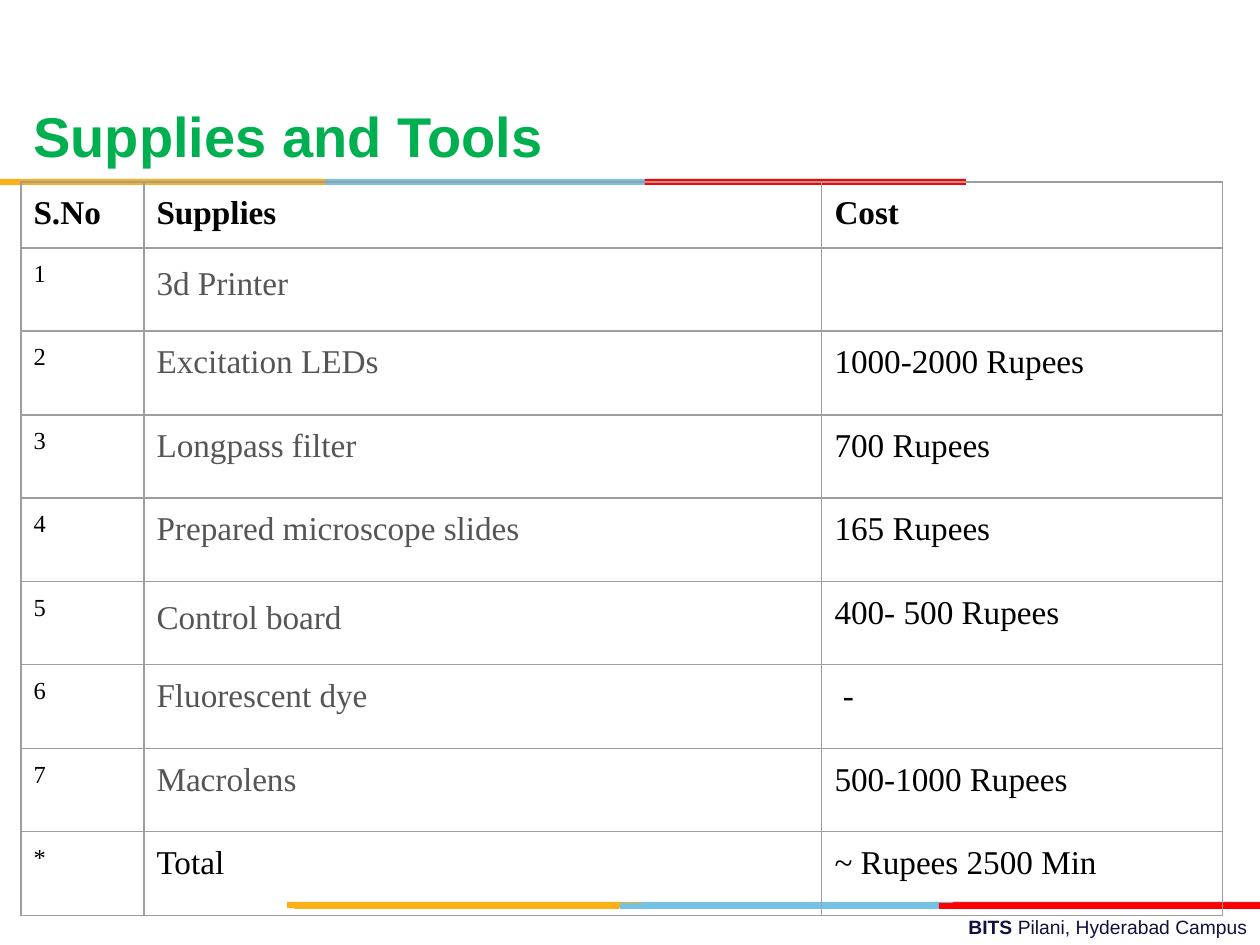
from pptx import Presentation
from pptx.dml.color import RGBColor
from pptx.enum.shapes import MSO_SHAPE
from pptx.enum.text import MSO_ANCHOR, PP_ALIGN
from pptx.oxml import parse_xml
from pptx.oxml.ns import nsdecls
from pptx.util import Pt

PX = 914400 / 126
HUES = {
    "gold": "FCB017", "sky": "76C2E5", "brick": "E31C24", "red": "FF0000",
    "green": "00B050", "navy": "101141", "black": "000000",
    "gray": "555555", "rule": "9E9E9E",
}


def px(*nums):
    return [round(n * PX) for n in nums]


def style(para, face, size, hue, bold=None):
    font = para.font
    font.name, font.size, font.bold = face, Pt(size), bold
    font.color.rgb = RGBColor.from_string(HUES[hue])


deck = Presentation()
deck.slide_width, deck.slide_height = px(1260, 945)
slide = deck.slides.add_slide(deck.slide_layouts[6])
shapes = slide.shapes

# Footer
foot = shapes.add_textbox(*px(451, 909, 809, 37)).text_frame
foot.word_wrap = True
para = foot.paragraphs[0]
para.alignment = PP_ALIGN.RIGHT
style(para, "Arial", 11, "navy")
for text, bold in (("BITS ", True), ("Pilani, Hyderabad Campus", False)):
    run = para.add_run()
    run.text, run.font.bold = text, bold

# Colour strips: left, top, width, hue
strips = [
    (638, 902, 321, "sky"), (953, 902, 307, "brick"), (287, 902, 355, "gold"),
    (620, 903, 321, "sky"), (294, 903, 325, "gold"), (939, 903, 321, "red"),
    (325, 179, 321, "sky"), (0, 179, 325, "gold"), (645, 179, 321, "red"),
]
for left, top, wide, hue in strips:
    bar = shapes.add_shape(MSO_SHAPE.RECTANGLE, *px(left, top, wide, 6))
    bar.shadow.inherit = False
    bar.fill.solid()
    bar.fill.fore_color.rgb = RGBColor.from_string(HUES[hue])
    bar.line.fill.background()

# Title
head = shapes.add_textbox(*px(21, 52, 1229, 158)).text_frame
head.word_wrap = True
head.vertical_anchor = MSO_ANCHOR.MIDDLE
para = head.paragraphs[0]
para.text = "Supplies and Tools"
para.line_spacing = 1.12
style(para, "Arial", 32, "green", True)

# Supplies table
rows = [
    ("S.No", "Supplies", "Cost"),
    ("1", "3d Printer", ""),
    ("2", "Excitation LEDs", "1000-2000 Rupees"),
    ("3", "Longpass filter", "700 Rupees"),
    ("4", "Prepared microscope slides", "165 Rupees"),
    ("5", "Control board", "400- 500 Rupees"),
    ("6", "Fluorescent dye", " -"),
    ("7", "Macrolens", "500-1000 Rupees"),
    ("*", "Total", "~ Rupees 2500 Min"),
]
cols = px(123, 678, 401)
highs = px(66, *[83, 84] * 4)
frame = shapes.add_table(len(rows), len(cols), *px(21, 182), sum(cols), sum(highs))
table = frame.table
table.first_row = table.horz_banding = False
for col, wide in zip(table.columns, cols):
    col.width = wide
for row, high in zip(table.rows, highs):
    row.height = high

last = len(rows) - 1
for r, row in enumerate(rows):
    for c, text in enumerate(row):
        cell = table.cell(r, c)
        cell.margin_left = cell.margin_right = Pt(7.2)
        cell.margin_top = cell.margin_bottom = Pt(7.2)
        # Borders
        for side in ("lnL", "lnR", "lnT", "lnB"):
            cell._tc.get_or_add_tcPr().append(parse_xml(
                f'<a:{side} {nsdecls("a")} w="9525"><a:solidFill>'
                f'<a:srgbClr val="{HUES["rule"]}"/></a:solidFill></a:{side}>'))
        cell.fill.background()
        # Text
        para = cell.text_frame.paragraphs[0]
        para.text = text
        size = 14 if c == 0 and r else 19
        hue = "gray" if c == 1 and 0 < r < last else "black"
        style(para, "Times New Roman", size, hue, r == 0)
        if c == 1 and r in (1, 5):
            para.line_spacing = 1.15
            para.space_after = Pt(15)

deck.save("out.pptx")
